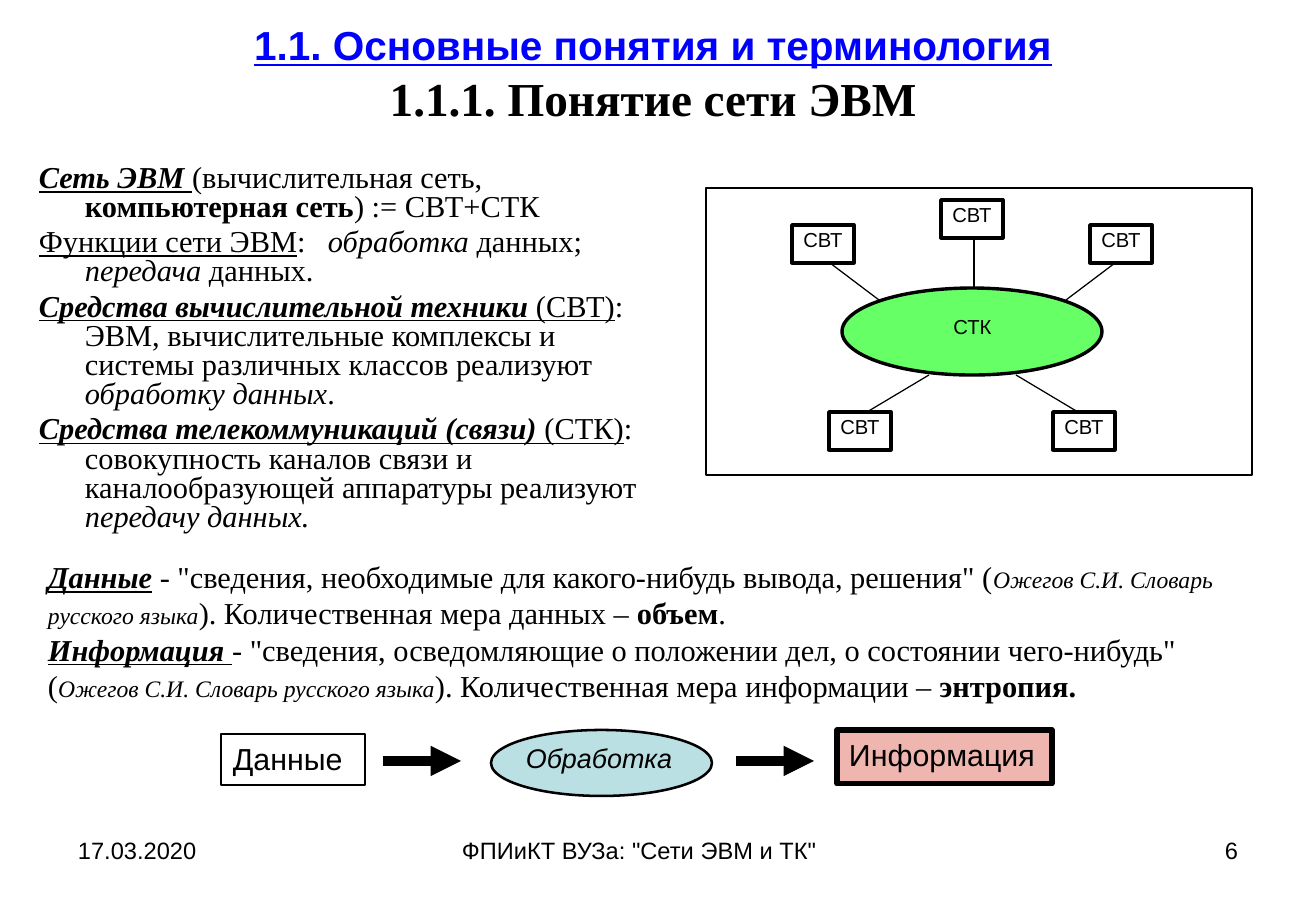
import lxml.etree
import pptx
import pptx.dml.color
import pptx.enum.shapes
import pptx.enum.text
import pptx.oxml.ns
import pptx.util

RGBColor = pptx.dml.color.RGBColor
Pt = pptx.util.Pt
MSO_SHAPE = pptx.enum.shapes.MSO_SHAPE
PP_ALIGN = pptx.enum.text.PP_ALIGN
MSO_ANCHOR = pptx.enum.text.MSO_ANCHOR

BLACK = RGBColor(0x00, 0x00, 0x00)
BLUE = RGBColor(0x00, 0x00, 0xFF)
GREEN = RGBColor(0x66, 0xFF, 0x66)
TEAL = RGBColor(0xBB, 0xE0, 0xE3)
PINK = RGBColor(0xEF, 0xB5, 0xAF)
SANS = "Arial"
SERIF = "Times New Roman"
SCALE = 914400 / 121.5


def px(value):
    return round(value * SCALE)


class Canvas:
    def __init__(self, slide):
        self.slide = slide
        self.shapes = slide.shapes

    def group(self):
        self.shapes = self.slide.shapes.add_group_shape().shapes

    def style(self, font, name, size, color=BLACK):
        font.name, font.size, font.color.rgb = name, Pt(size), color

    def title(self, box, lines):
        title = self.slide.shapes.title
        title.left, title.top, title.width, title.height = map(px, box)
        frame = title.text_frame
        frame.vertical_anchor = MSO_ANCHOR.MIDDLE
        frame.auto_size = pptx.enum.text.MSO_AUTO_SIZE.NONE
        paragraph = frame.paragraphs[0]
        paragraph.alignment = PP_ALIGN.CENTER
        paragraph.font.bold = True
        for number, (text, name, size, color, underline) in enumerate(lines):
            if number:
                paragraph.add_line_break()
            run = paragraph.add_run()
            run.text = text
            self.style(run.font, name, size, color)
            run.font.underline = underline

    def fill_text(self, shape, paragraphs, name, size, align=PP_ALIGN.LEFT,
                  inset=None, hanging=0, line_spacing=None, before=0):
        frame = shape.text_frame
        frame.word_wrap = True
        frame.vertical_anchor = MSO_ANCHOR.TOP
        if inset is not None:
            frame.margin_left = frame.margin_right = px(inset)
            frame.margin_top = frame.margin_bottom = px(inset)
        for number, runs in enumerate(paragraphs):
            paragraph = frame.add_paragraph() if number else frame.paragraphs[0]
            paragraph.alignment = align
            paragraph.space_before = Pt(before)
            if line_spacing:
                paragraph.line_spacing = line_spacing
            if hanging:
                properties = paragraph._p.get_or_add_pPr()
                properties.set("marL", str(px(hanging)))
                properties.set("indent", str(-px(hanging)))
            self.style(paragraph.font, name, size)
            for text, marks, *own_size in runs:
                run = paragraph.add_run()
                run.text = text
                if "b" in marks:
                    run.font.bold = True
                if "i" in marks:
                    run.font.italic = True
                if "u" in marks:
                    run.font.underline = True
                if own_size:
                    run.font.size = Pt(own_size[0])

    def text(self, box, paragraphs, name, size, **layout):
        self.fill_text(self.shapes.add_textbox(*map(px, box)), paragraphs, name, size, **layout)

    def shape(self, kind, box, weight, fill=None):
        shape = self.shapes.add_shape(kind, *map(px, box))
        shape.shadow.inherit = False
        if fill is None:
            shape.fill.background()
        else:
            shape.fill.solid()
            shape.fill.fore_color.rgb = fill
        shape.line.color.rgb = BLACK
        shape.line.width = Pt(weight)
        return shape

    def line(self, start, end, weight, arrow=False):
        line = self.shapes.add_connector(
            pptx.enum.shapes.MSO_CONNECTOR.STRAIGHT, *map(px, start + end))
        line.line.color.rgb = BLACK
        line.line.width = Pt(weight)
        if arrow:
            head = lxml.etree.SubElement(line.line._get_or_add_ln(), pptx.oxml.ns.qn("a:tailEnd"))
            head.set("type", "triangle")
        lxml.etree.SubElement(line._element.spPr, pptx.oxml.ns.qn("a:effectLst"))


deck = pptx.Presentation()
deck.slide_width, deck.slide_height = px(1316), px(911)
canvas = Canvas(deck.slides.add_slide(deck.slide_layouts[5]))

canvas.title((17, 16, 1272, 114), [
    ("1.1. Основные понятия и терминология", SANS, 24, BLUE, True),
    ("1.1.1. Понятие сети ЭВМ", SERIF, 28, BLACK, False),
])

canvas.text((27, 159, 650, 392), [
    [("Сеть ЭВМ ", "biu"), ("(вычислительная сеть, ", ""),
     ("компьютерная сеть", "b"), (") := СВТ+СТК ", "")],
    [("Функции сети ЭВМ", "u"), (":\t", ""), ("обработка", "i"),
     (" данных;\t\t\t", ""), ("передача", "i"), (" данных.", "")],
    [("Средства вычислительной техники", "biu"), (" (СВТ)", "u"),
     (": ЭВМ, вычислительные комплексы и системы различных классов реализуют ", ""),
     ("обработку данных", "i"), (".", "")],
    [("Средства телекоммуникаций (связи)", "biu"), (" (СТК)", "u"),
     (": совокупность каналов связи и каналообразующей аппаратуры реализуют ", ""),
     ("передачу данных.", "i")],
], SERIF, 18, hanging=46, line_spacing=0.8, before=3.6)

dictionary = ("Ожегов С.И. Словарь русского языка", "i", 14)
canvas.text((36, 552, 1225, 158), [
    [("Данные", "biu"),
     (" - \"сведения, необходимые для какого-нибудь вывода, решения\" (", ""),
     dictionary, ("). Количественная мера данных – ", ""), ("объем", "b"), (".", "")],
    [("Информация", "biu"), (" ", "u"),
     ("- \"сведения, осведомляющие о положении дел, о состоянии чего-нибудь\" (", ""),
     dictionary, ("). Количественная мера информации – ", ""), ("энтропия. ", "b")],
], SERIF, 18)

for box, footer, align in [
    ((66, 830, 307, 63), "17.03.2020", PP_ALIGN.LEFT),
    ((450, 830, 417, 63), "ФПИиКТ ВУЗа: \"Сети ЭВМ и ТК\"", PP_ALIGN.LEFT),
    ((943, 830, 307, 63), "6", PP_ALIGN.RIGHT),
]:
    canvas.text(box, [[(footer, "")]], SANS, 14, align=align)

canvas.group()
canvas.shape(MSO_SHAPE.RECTANGLE, (706, 188, 546, 287), 1)
canvas.shape(MSO_SHAPE.OVAL, (842, 288, 260, 87), 2, GREEN)
canvas.text((929, 312, 87, 38), [[("СТК", "")]], SANS, 12, align=PP_ALIGN.CENTER, inset=2)
for corner, start, end in [
    ((792, 225), (830, 263), (879, 300)),
    ((941, 200), (974, 238), (974, 288)),
    ((1090, 225), (1115, 263), (1066, 300)),
    ((829, 412), (867, 412), (929, 375)),
    ((1053, 412), (1078, 412), (1016, 375)),
]:
    computer = canvas.shape(MSO_SHAPE.RECTANGLE, corner + (62, 38), 2)
    canvas.fill_text(computer, [[("СВТ", "")]], SANS, 12, align=PP_ALIGN.CENTER, inset=2)
    canvas.line(start, end, 0.75)

canvas.group()
data = canvas.shape(MSO_SHAPE.RECTANGLE, (221, 734, 144, 51), 1.5)
canvas.fill_text(data, [[("Данные ", "")]], SANS, 18)
canvas.shape(MSO_SHAPE.OVAL, (491, 730, 221, 66), 1.5, TEAL)
canvas.text((514, 736, 186, 45), [[("Обработка", "i")]], SANS, 16)
information = canvas.shape(MSO_SHAPE.RECTANGLE, (837, 730, 215, 54), 3, PINK)
canvas.fill_text(information, [[("Информация", "")]], SANS, 18)
for left in (383, 736):
    canvas.line((left, 761), (left + 78, 761), 6, arrow=True)

deck.save("out.pptx")
